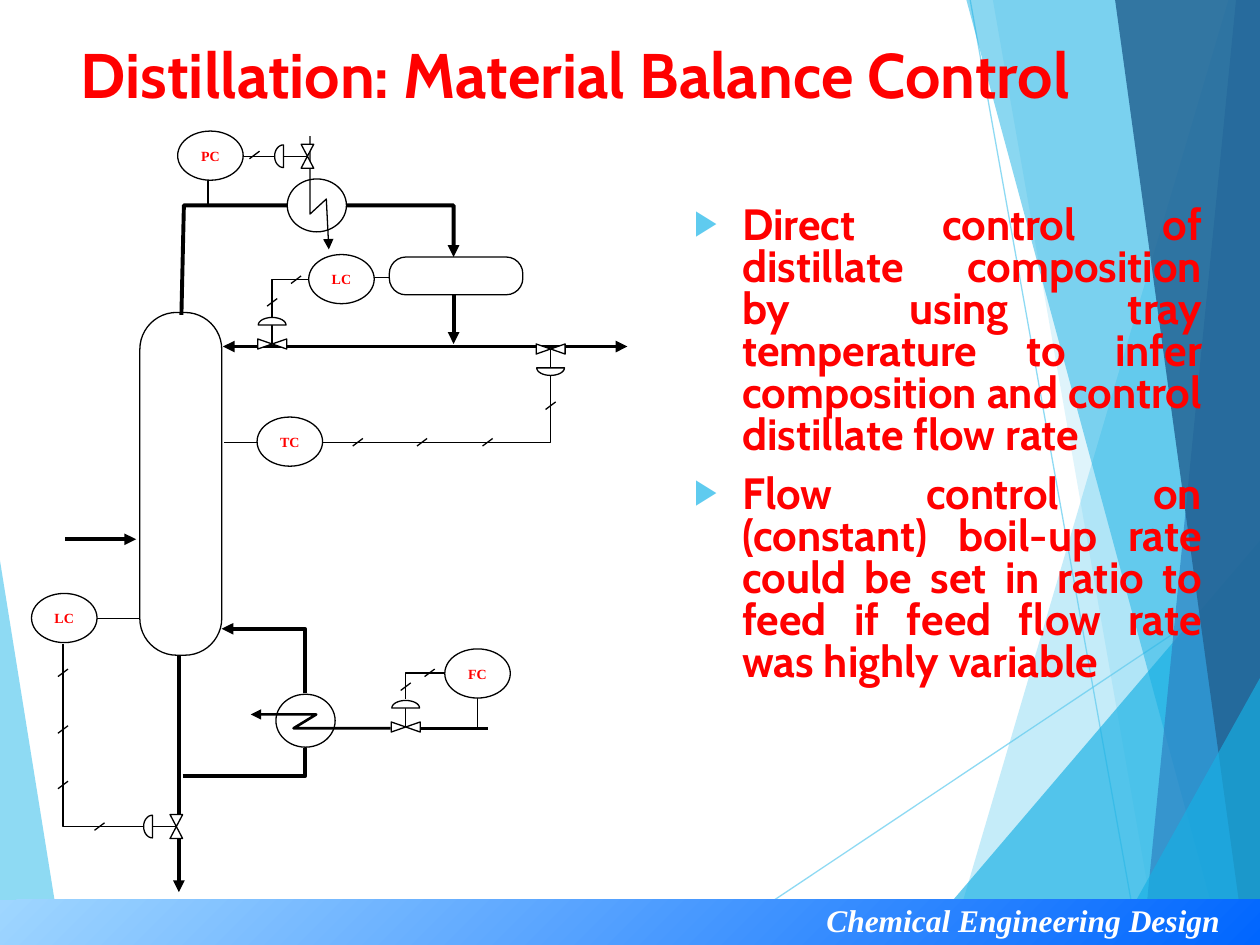
from dataclasses import dataclass
from math import cos, pi, sin

from lxml import etree
from pptx import Presentation
from pptx.dml.color import RGBColor
from pptx.enum.shapes import MSO_CONNECTOR, MSO_SHAPE
from pptx.enum.text import MSO_ANCHOR, MSO_AUTO_SIZE, PP_ALIGN
from pptx.oxml.ns import qn
from pptx.util import Cm, Pt

STRAIGHT = MSO_CONNECTOR.STRAIGHT
ELLIPSE, RECTANGLE = MSO_SHAPE.OVAL, MSO_SHAPE.RECTANGLE
CAPSULE, VALVE = MSO_SHAPE.ROUNDED_RECTANGLE, MSO_SHAPE.FLOWCHART_COLLATE
TOP, MIDDLE = MSO_ANCHOR.TOP, MSO_ANCHOR.MIDDLE
FIXED_SIZE = MSO_AUTO_SIZE.NONE
LEFT, CENTER, JUSTIFY = PP_ALIGN.LEFT, PP_ALIGN.CENTER, PP_ALIGN.JUSTIFY


@dataclass(frozen=True)
class Theme:
    heading: str = "Cabin"
    label: str = "Times New Roman"
    red: str = "FF0000"
    black: str = "000000"
    white: str = "FFFFFF"
    sky: str = "5FCBEF"
    cyan: str = "17B0E4"
    blue: str = "2E83C3"
    navy: str = "236292"
    band: tuple = ("9FD6FF", "0066FF")
    title_size: float = 36
    body_size: float = 25
    footer_size: float = 18
    label_size: float = 8
    thin: float = 0.75
    coil: float = 1.5
    thick: float = 2.25


THEME = Theme()

# Content; places are in inches, turned into Cm by at()
TITLE = "Distillation: Material Balance Control"
BULLETS = [
    "Direct control of distillate composition by using tray temperature "
    "to infer composition and control distillate flow rate",
    "Flow control on (constant) boil-up rate could be set in ratio to feed "
    "if feed flow rate was highly variable",
]
FOOTER = "Chemical Engineering Design"

# Background facets: colour, opacity, corners
FACETS = [
    (THEME.sky, 70, [(0, 4.45), (0.49, 7.5), (0, 7.5)]),
    (THEME.sky, 36, [(9.75, 0), (7.54, 7.5), (10, 7.5), (10, 0)]),
    (THEME.sky, 20, [(7.88, 0), (9.19, 7.5), (10, 7.5), (10, 0)]),
    (THEME.cyan, 66, [(7.26, 7.5), (10, 4.29), (10, 7.5)]),
    (THEME.cyan, 50, [(7.67, 0), (9.7, 7.5), (10, 7.5), (10, 0)]),
    (THEME.blue, 70, [(9.81, 0), (9.07, 7.5), (10, 7.5), (10, 0)]),
    (THEME.navy, 82, [(8.85, 0), (9.88, 7.5), (10, 7.5), (10, 0)]),
    (THEME.cyan, 66, [(8.82, 7.5), (10, 5.38), (10, 7.5)]),
]
RAYS = [[(5.61, 7.5), (10, 4.57)], [(7.7, 0), (9.04, 7.5)]]

# Vessels: left, top, width, height, corner ratio
VESSELS = [(1.11, 2.48, 0.65, 2.72, 0.45), (3.09, 2.04, 1.06, 0.3, 0.44)]
# Lines: points, arrow at the last point
PIPES = [
    ([(1.42, 5.2), (1.42, 6.46)], False),
    ([(1.42, 6.65), (1.42, 7.08)], True),
    ([(2.42, 5.5), (2.42, 4.99), (1.76, 4.99)], True),
    ([(1.44, 2.5), (1.46, 1.63), (3.6, 1.63), (3.6, 2.04)], True),
    ([(2.56, 2.75), (1.77, 2.75)], True),
    ([(2.56, 2.75), (4.98, 2.75)], True),
    ([(3.6, 2.34), (3.6, 2.73)], True),
    ([(0.52, 4.28), (1.08, 4.28)], True),
    ([(1.45, 6.16), (2.42, 6.16), (2.42, 5.94)], False),
]
EXCHANGERS = [(2.28, 1.42), (2.19, 5.51)]
COILS = [
    ([(2.46, 1.08), (2.46, 1.7), (2.59, 1.58), (2.61, 1.98)], True, THEME.thin),
    ([(3.1, 5.78), (2.33, 5.78), (2.51, 5.67), (1.99, 5.67)], True, THEME.coil),
    ([(3.34, 5.78), (3.87, 5.78)], False, THEME.coil),
]
SIGNALS = [
    [(2.5, 2.22), (2.16, 2.22), (2.16, 2.52)],
    [(2.9, 2.2), (3.09, 2.2)],
    [(3.79, 5.77), (3.79, 5.52)],
    [(0.77, 4.91), (1.11, 4.91)],
    [(0.5, 5.11), (0.5, 6.56), (1.16, 6.56)],
    [(1.65, 1.63), (1.65, 1.43)],
    [(1.85, 1.24), (2.19, 1.24)],
    [(1.78, 3.51), (2.11, 3.51)],
    [(3.22, 5.55), (3.22, 5.34), (3.53, 5.34)],
    [(2.56, 3.51), (4.37, 3.51), (4.37, 2.98)],
]
# Valves: centre, direction towards the actuator
VALVES = [
    ((3.22, 5.77), (0, -1)), ((4.37, 2.77), (0, 1)), ((2.16, 2.73), (0, -1)),
    ((1.4, 6.56), (-1, 0)), ((2.44, 1.24), (-1, 0)),
]
CONTROLLERS = [
    ("LC", 0.25, 4.71), ("LC", 2.45, 2.02), ("PC", 1.41, 1.04),
    ("TC", 2.04, 3.31), ("FC", 3.53, 5.15),
]
# Centres of the signal ticks
TICKS = [
    (0.5, 5.34), (0.5, 5.79), (0.5, 6.23), (0.79, 6.56), (2.35, 2.22),
    (2.16, 2.4), (2.02, 1.23), (3.22, 5.45), (3.41, 5.34), (4.37, 3.22),
    (2.84, 3.51), (3.35, 3.51), (3.87, 3.51),
]


def at(*inches):
    return [Cm(value * 2.54) for value in inches]


def color(code):
    return RGBColor.from_string(code)


def style(shape, fill=None, line=None, width=THEME.thin, opacity=100):
    """Flat fill and outline without shadow."""
    if fill:
        shape.fill.solid()
        shape.fill.fore_color.rgb = color(fill)
    elif hasattr(shape, "fill"):
        shape.fill.background()
    if line:
        shape.line.color.rgb = color(line)
        shape.line.width = Pt(width)
    else:
        shape.line.fill.background()
    properties = shape._element.spPr
    if opacity < 100:
        for node in properties.iter(qn("a:srgbClr")):
            etree.SubElement(node, qn("a:alpha"), val=str(opacity * 1000))
    if hasattr(shape, "shadow"):
        shape.shadow.inherit = False
    else:
        etree.SubElement(properties, qn("a:effectLst"))
    return shape


def outline(shapes, points, closed):
    corners = [tuple(at(*point)) for point in points]
    builder = shapes.build_freeform(*corners[0], scale=1.0)
    builder.add_line_segments(corners[1:], close=closed)
    return builder.convert_to_shape()


def draw_line(shapes, points, arrow=False, width=THEME.thin, line=THEME.black, opacity=100):
    if len(points) == 2:
        path = shapes.add_connector(STRAIGHT, *at(*points[0], *points[1]))
    else:
        path = outline(shapes, points, closed=False)
    style(path, line=line, width=width, opacity=opacity)
    if arrow:
        etree.SubElement(path.line._get_or_add_ln(), qn("a:tailEnd"), type="triangle")


def draw_shape(shapes, kind, *place):
    return style(shapes.add_shape(kind, *at(*place)), THEME.white, THEME.black)


def draw_valve(shapes, center, direction):
    (x, y), (dx, dy) = center, direction
    if dx:
        height, thickness, reach, half, depth = 0.19, 0.1, 0.19, 0.09, 0.07
    else:
        height, thickness, reach, half, depth = 0.23, 0.08, 0.15, 0.11, 0.06
    body = draw_shape(shapes, VALVE, x - thickness / 2, y - height / 2, thickness, height)
    body.rotation = 0 if dx else 90
    base_x, base_y = x + dx * reach, y + dy * reach
    draw_line(shapes, [center, (base_x, base_y)])
    angles = [pi * step / 16 for step in range(17)]
    dome = [(base_x + dy * half * cos(a) + dx * depth * sin(a),
             base_y + dx * half * cos(a) + dy * depth * sin(a)) for a in angles]
    style(outline(shapes, dome, closed=True), THEME.white, THEME.black)


def write(para, text, font, size, ink, align=LEFT, italic=False):
    para.alignment = align
    span = para.add_run()
    span.text = text
    span.font.name, span.font.size = font, Pt(size)
    span.font.bold, span.font.italic = True, italic
    span.font.color.rgb = color(ink)


def add_bullet(para):
    properties = para._p.get_or_add_pPr()
    properties.set("marL", str(Cm(0.97)))
    properties.set("indent", str(-Cm(0.97)))
    tint = etree.SubElement(properties, qn("a:buClr"))
    etree.SubElement(tint, qn("a:srgbClr"), val=THEME.sky)
    etree.SubElement(properties, qn("a:buSzPct"), val="80000")
    etree.SubElement(properties, qn("a:buChar"), char="▶")


def place_frame(box, *place):
    box.left, box.top, box.width, box.height = at(*place)
    frame = box.text_frame
    frame.auto_size, frame.vertical_anchor, frame.word_wrap = FIXED_SIZE, TOP, True
    return frame


def add_background(page):
    group = page.shapes.add_group_shape()
    page.shapes._spTree.insert(2, group._element)  # behind the placeholders
    for ray in RAYS:
        draw_line(group.shapes, ray, line=THEME.sky, opacity=70)
    for fill, opacity, corners in FACETS:
        style(outline(group.shapes, corners, closed=True), fill, opacity=opacity)
    band = style(group.shapes.add_shape(RECTANGLE, *at(0, 7.14, 10, 0.36)))
    band.fill.gradient()
    band.fill.gradient_angle = 315
    for stop, code in zip(band.fill.gradient_stops, THEME.band):
        stop.color.rgb = color(code)


def add_footer(shapes):
    place = (6.46, 7.1, 3.5, 0.4)
    frame = place_frame(shapes.add_textbox(*at(*place)), *place)
    write(frame.paragraphs[0], FOOTER, THEME.label, THEME.footer_size, THEME.white, italic=True)


def add_diagram(shapes):
    for *place, ratio in VESSELS:
        draw_shape(shapes, CAPSULE, *place).adjustments[0] = ratio
    for points, arrow in PIPES:
        draw_line(shapes, points, arrow, THEME.thick)
    for place in EXCHANGERS:
        draw_shape(shapes, ELLIPSE, *place, 0.47, 0.42)
    for points, arrow, width in COILS:
        draw_line(shapes, points, arrow, width)
    for points in SIGNALS:
        draw_line(shapes, points)
    for center, direction in VALVES:
        draw_valve(shapes, center, direction)
    for name, *place in CONTROLLERS:
        frame = draw_shape(shapes, ELLIPSE, *place, 0.52, 0.39).text_frame
        frame.word_wrap, frame.vertical_anchor = False, MIDDLE
        write(frame.paragraphs[0], name, THEME.label, THEME.label_size, THEME.red, CENTER)
    for x, y in TICKS:
        draw_line(shapes, [(x + 0.04, y - 0.03), (x - 0.04, y + 0.03)])


def main():
    deck = Presentation()
    deck.slide_width, deck.slide_height = at(10, 7.5)
    page = deck.slides.add_slide(deck.slide_layouts[1])
    add_background(page)
    add_footer(page.shapes)

    # Title and bullet list
    frame = place_frame(page.shapes.title, 0.54, 0.23, 9, 1.25)
    write(frame.paragraphs[0], TITLE, THEME.heading, THEME.title_size, THEME.red)
    frame = place_frame(page.placeholders[1], 5.41, 1.59, 4.23, 4.95)
    for index, text in enumerate(BULLETS):
        para = frame.add_paragraph() if index else frame.paragraphs[0]
        para.line_spacing, para.space_before = 0.8, Pt(10 if index else 0)
        add_bullet(para)
        write(para, text, THEME.heading, THEME.body_size, THEME.red, JUSTIFY)

    add_diagram(page.shapes)
    deck.save("out.pptx")


if __name__ == "__main__":
    main()
